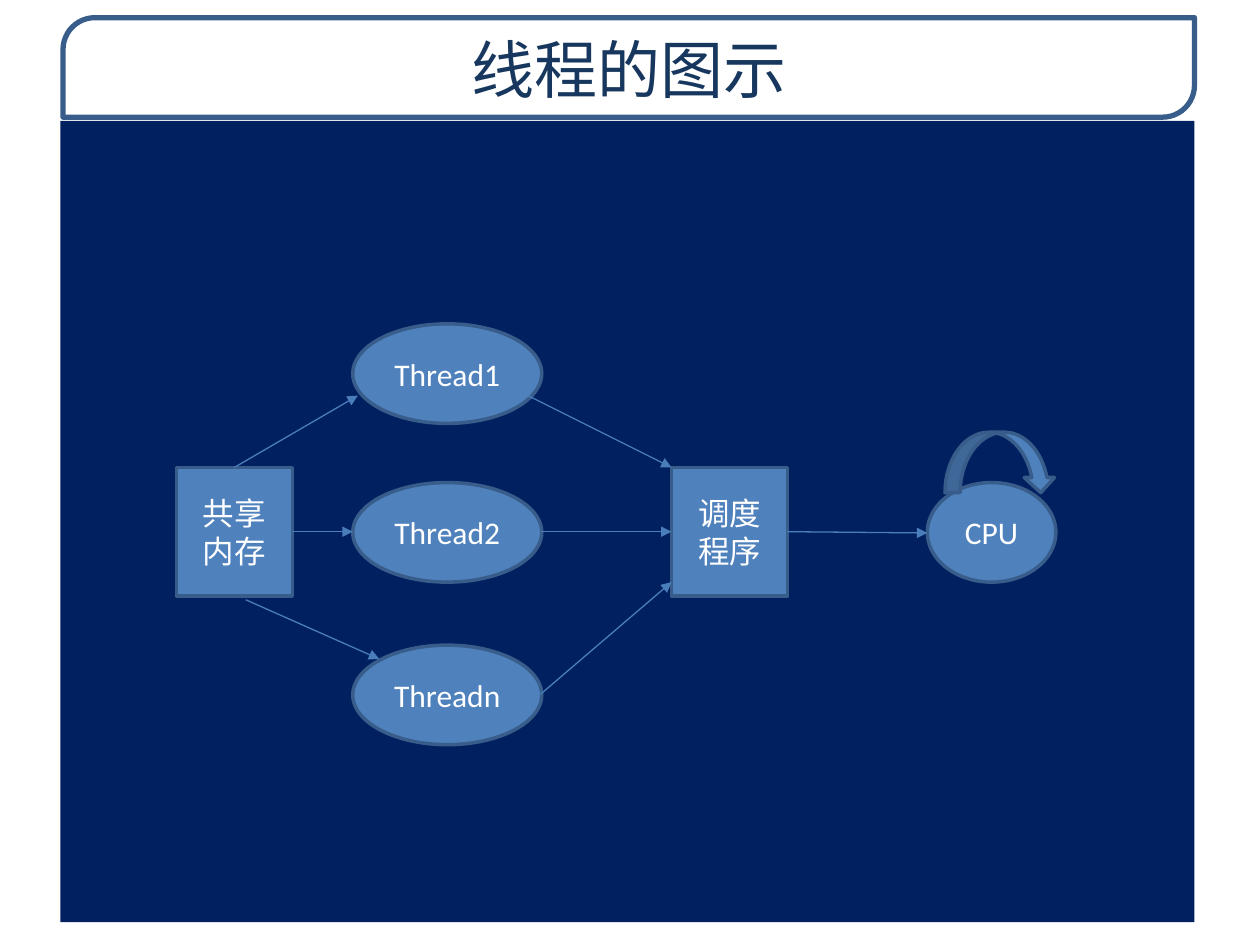
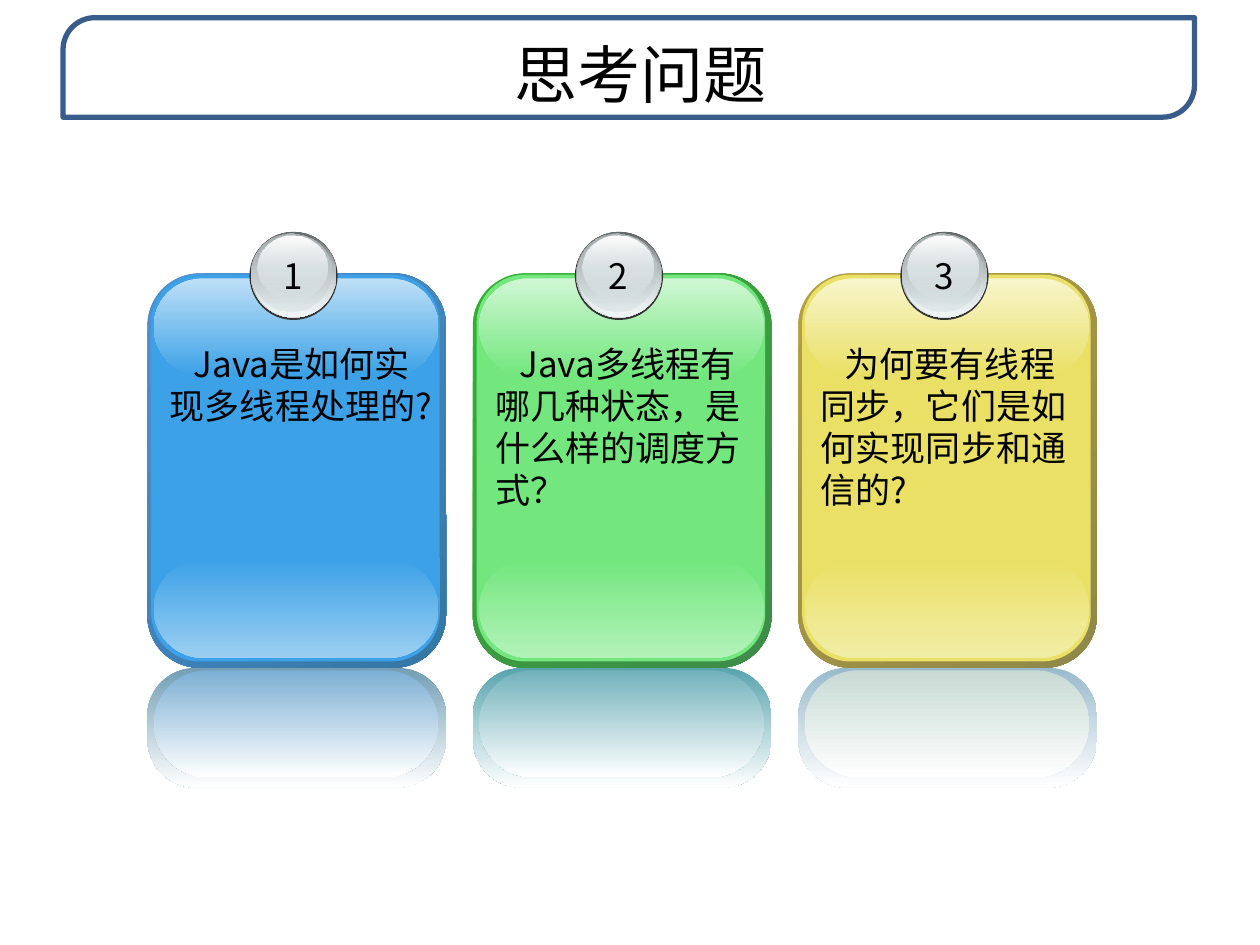
from dataclasses import dataclass
from typing import Any

from lxml import etree
from pptx import Presentation
from pptx.dml.color import RGBColor
from pptx.enum.shapes import MSO_CONNECTOR, MSO_SHAPE
from pptx.enum.text import MSO_ANCHOR, MSO_AUTO_SIZE, PP_ALIGN
from pptx.oxml.ns import qn
from pptx.util import Emu, Inches, Pt

RECT, OVAL, ROUND = MSO_SHAPE.RECTANGLE, MSO_SHAPE.OVAL, MSO_SHAPE.ROUNDED_RECTANGLE
BAND, LOOP = MSO_SHAPE.ROUND_2_DIAG_RECTANGLE, MSO_SHAPE.CURVED_DOWN_ARROW
MIDDLE, TOP = MSO_ANCHOR.MIDDLE, MSO_ANCHOR.TOP
CENTER, LEFT = PP_ALIGN.CENTER, PP_ALIGN.LEFT
STRAIGHT, FIXED = MSO_CONNECTOR.STRAIGHT, MSO_AUTO_SIZE.NONE

WIDE, HIGH = Inches(10), Inches(7.5)
COL, ROW = WIDE / 100, HIGH / 75
SANS, LATIN = "Noto Sans CJK SC", "Calibri"
WHITE, BLACK, NAVY, INK = "FFFFFF", "000000", "002060", "17375E"
BLUE, EDGE, WIRE = "4F81BD", "385D8A", "4A7EBB"
DOWN, SLANT = 90, 45


@dataclass(frozen=True)
class Box:
    left: float
    top: float
    width: float
    height: float

    def shift(self, cols: float) -> "Box":
        return Box(self.left + cols, self.top, self.width, self.height)

    def place(self) -> tuple[Emu, Emu, Emu, Emu]:
        return (Emu(int(self.left * COL)), Emu(int(self.top * ROW)),
                Emu(int(self.width * COL)), Emu(int(self.height * ROW)))


@dataclass(frozen=True)
class Style:
    font: str
    size: float
    color: str
    align: Any = CENTER
    pitch: float = 0
    indent: float = 0


@dataclass(frozen=True)
class Node:
    kind: Any
    box: Box
    text: str = ""


@dataclass(frozen=True)
class Layer:
    kind: Any
    box: Box
    fills: tuple[str, ...]
    turn: int = DOWN
    bend: float | None = None


@dataclass(frozen=True)
class Card:
    text: str
    rim: tuple[str, str]
    base: str
    foot: str
    shine: str
    outer: str
    inner: str


HEAD = Style(SANS, 36, INK, pitch=47)
ASK = Style(SANS, 36, BLACK, pitch=47)
LABEL = Style(LATIN, 18, WHITE)
COUNT = Style(SANS, 20, BLACK, pitch=24)
BODY = Style(SANS, 20, BLACK, LEFT, 24, 1.9)

NODES = [
    *(Node(OVAL, Box(28, top, 15, 7.9), text)
      for top, text in ((25.7, "Thread1"), (38.3, "Thread2"), (51.2, "Threadn"))),
    Node(RECT, Box(14, 37.1, 9.2, 10.2), "共享内存"),
    Node(RECT, Box(53.3, 37.1, 9.2, 10.2), "调度程序"),
    Node(OVAL, Box(73.6, 38.3, 10.2, 7.9), "CPU"),
]
SPIN = Node(LOOP, Box(75, 34.3, 8.8, 4.8))
ARROWS = [
    (18.6, 37.1, 28.4, 31.4), (23.2, 42.2, 28, 42.2), (19.5, 47.6, 30.1, 52.3),
    (41.9, 31.4, 53.3, 37.1), (42.9, 42.2, 53.3, 42.2), (42.9, 55.1, 53.3, 46.2),
    (62.5, 42.2, 73.6, 42.3),
]
STEP = 25.83
CARDS = [
    Card("Java是如何实现多线程处理的?", ("4E91D4", "3477A4"),
         "3CA1E6", "9BCFF2", "BEE0F7", "729EB4", "7DAFD4"),
    Card("Java多线程有哪几种状态，是什么样的调度方式？", ("34B034", "3F8B4A"),
         "73E77E", "B3F2B9", "D0F7D4", "58A4AE", "72B2BB"),
    Card("为何要有线程同步，它们是如何实现同步和通信的?", ("B59F43", "8F8849"),
         "E9E065", "F2EDA6", "F8F5CC", "99BACC", "C8DAD4"),
]
BADGE = [
    Layer(OVAL, Box(19.8, 18.4, 7, 7), ("333333",)),
    Layer(OVAL, Box(19.9, 18.4, 6.8, 6.8), ("636869", "D6E1E2")),
    Layer(OVAL, Box(20, 18.5, 6.6, 6.6), ("D6E1E200", "F1F5F5")),
    Layer(OVAL, Box(20, 18.5, 6.3, 6.2), ("AAB2B3", "D6E1E27A")),
    Layer(OVAL, Box(20.4, 18.7, 5.6, 5), ("FFFFFF", "D6E1E261")),
]


def tint(color: Any, code: str) -> None:
    color.rgb = RGBColor.from_string(code[:6])


def fade(shape: Any, codes: tuple[str, ...]) -> None:
    for node, code in zip(shape._element.spPr.iter(qn("a:srgbClr")), codes):
        if len(code) == 8:
            share = round(int(code[6:], 16) / 255 * 100) * 1000
            etree.SubElement(node, qn("a:alpha")).set("val", str(share))


def paint(shape: Any, codes: tuple[str, ...], turn: int = DOWN) -> None:
    fill = shape.fill
    if len(codes) == 1:
        fill.solid()
        tint(fill.fore_color, codes[0])
    else:
        fill.gradient()
        fill.gradient_angle = 360 - turn
        for stop, code in zip(fill.gradient_stops, codes):
            tint(stop.color, code)
    fade(shape, codes)


def draw(shapes: Any, layer: Layer, edge: str = "", weight: float = 0) -> Any:
    shape = shapes.add_shape(layer.kind, *layer.box.place())
    shape.shadow.inherit = False
    if layer.bend is not None:
        shape.adjustments[0] = layer.bend
    paint(shape, layer.fills, layer.turn)
    if edge:
        tint(shape.line.color, edge)
        shape.line.width = Pt(weight)
    else:
        shape.line.fill.background()
    return shape


def write(shape: Any, text: str, style: Style, anchor: Any = TOP, wrap: bool = True) -> None:
    frame = shape.text_frame
    frame.text = text
    frame.word_wrap = wrap
    frame.auto_size = FIXED
    frame.vertical_anchor = anchor
    para = frame.paragraphs[0]
    para.alignment = style.align
    if style.pitch:
        para.line_spacing = Pt(style.pitch)
    props = para._p.get_or_add_pPr()
    if style.indent:
        props.set("indent", str(int(style.indent * COL)))
    font = para.font
    font.name, font.size = style.font, Pt(style.size)
    tint(font.color, style.color)
    east = etree.SubElement(props.find(qn("a:defRPr")), qn("a:ea"))
    east.set("typeface", style.font)


def link(shapes: Any, ends: tuple[float, float, float, float]) -> None:
    left, top, right, low = ends
    line = shapes.add_connector(STRAIGHT, int(left * COL), int(top * ROW),
                                int(right * COL), int(low * ROW))
    tint(line.line.color, WIRE)
    line.line.width = Pt(0.75)
    etree.SubElement(line.line._get_or_add_ln(), qn("a:tailEnd")).set("type", "triangle")
    etree.SubElement(line._element.spPr, qn("a:effectLst"))


def start(deck: Any, text: str, box: Box, style: Style) -> Any:
    slide = deck.slides.add_slide(deck.slide_layouts[5])
    title = slide.shapes.title
    title.left, title.top, title.width, title.height = box.place()
    write(title, text, style)
    return slide


def frame(slide: Any) -> None:
    band = Layer(BAND, Box(5, 1.4, 89.8, 7.9), ("FFFFFFD9",), bend=0.32)
    shape = draw(slide.shapes, band, EDGE, 3)
    slide.slide_layout.shapes._spTree.insert(2, shape._element)


def chart(slide: Any) -> None:
    shapes = slide.shapes
    draw(shapes, Layer(RECT, Box(4.8, 9.6, 90, 63.6), (NAVY,)))
    for node in NODES:
        shape = draw(shapes, Layer(node.kind, node.box, (BLUE,)), EDGE, 2)
        write(shape, node.text, LABEL, MIDDLE)
    for ends in ARROWS:
        link(shapes, ends)
    draw(shapes, Layer(SPIN.kind, SPIN.box, (BLUE,)), EDGE, 2)


def layers(card: Card) -> list[Layer]:
    return [
        Layer(ROUND, Box(11.7, 21.7, 23.7, 31.3), card.rim, SLANT, 0.175),
        Layer(ROUND, Box(12, 21.8, 22.9, 30.7), (card.base,), bend=0.168),
        Layer(ROUND, Box(12.2, 44.4, 22.6, 7.8), (card.base, card.foot), bend=0.5),
        Layer(ROUND, Box(12.2, 22.1, 22.6, 7.7), (card.shine, card.base), bend=0.5),
        Layer(ROUND, Box(11.7, 53, 23.7, 9.5), (card.outer, WHITE), bend=0.404),
        Layer(ROUND, Box(12.2, 53.2, 22.6, 8.5), (card.inner, WHITE), bend=0.5),
        *BADGE,
    ]


def deal(slide: Any, rank: int, card: Card) -> None:
    shapes = slide.shapes.add_group_shape().shapes
    move = rank * STEP
    for part in layers(card):
        draw(shapes, Layer(part.kind, part.box.shift(move), part.fills, part.turn, part.bend))
    count = shapes.add_textbox(*Box(21.4, 19.7, 3.7, 4.4).shift(move).place())
    write(count, str(rank + 1), COUNT, wrap=False)
    body = shapes.add_textbox(*Box(12.5, 26.7, 22.5, 14.4).shift(move).place())
    write(body, card.text, BODY)


def main() -> None:
    deck = Presentation()
    deck.slide_width, deck.slide_height = WIDE, HIGH
    first = start(deck, "线程的图示", Box(5.1, 1.4, 89.7, 7.6), HEAD)
    frame(first)
    chart(first)
    second = start(deck, "思考问题", Box(5.8, 1.8, 90, 5.7), ASK)
    for rank, card in enumerate(CARDS):
        deal(second, rank, card)
    deck.save("out.pptx")


if __name__ == "__main__":
    main()
